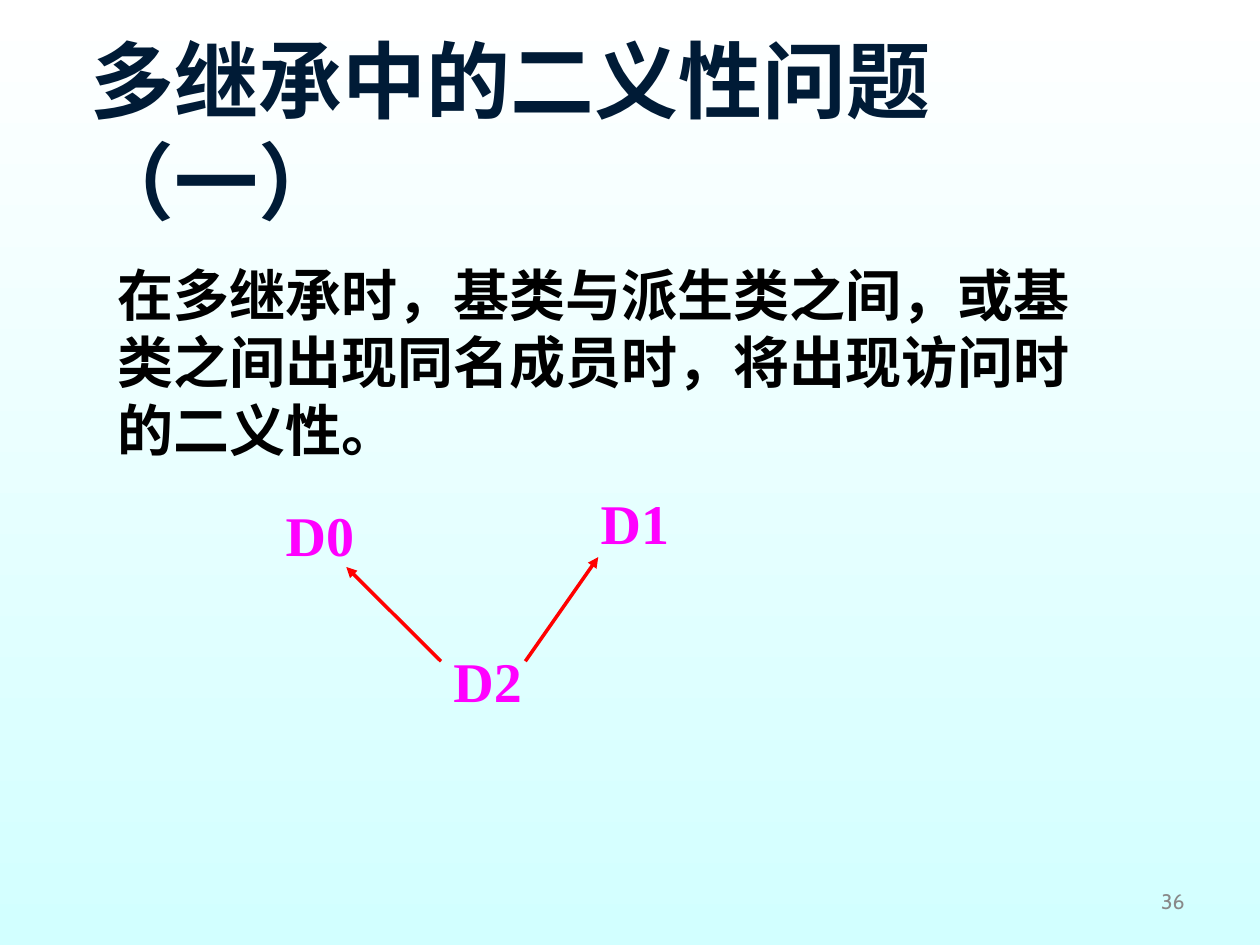
import pptx
import pptx.dml.color
import pptx.enum.shapes
import pptx.enum.text
import pptx.oxml
import pptx.oxml.ns
import pptx.util

Cm = pptx.util.Cm
Pt = pptx.util.Pt
COLORS = {
    "top": "FFFFFF",
    "bottom": "D2FFFF",
    "title": "001B36",
    "body": "000000",
    "node": "FF00FF",
    "arrow": "FF0000",
    "number": "898989",
}


def rgb(name):
    return pptx.dml.color.RGBColor.from_string(COLORS[name])


def write(tf, text, size=32, font="Arial", color="body", bold=True, align="LEFT"):
    p = tf.paragraphs[0]
    p.alignment = getattr(pptx.enum.text.PP_ALIGN, align)
    r = p.add_run()
    r.text = text
    r.font.size = Pt(size)
    r.font.name = font
    r.font.bold = bold
    r.font.color.rgb = rgb(color)


class SlideBuilder:
    """Holds the style and the current slide, and adds its elements."""

    def __init__(self, s):
        self.s = s
        self.line_width = Pt(2)
        self.node_size = (3.61, 1.63)
        self.node_style = {"font": "Times New Roman", "color": "node"}

    def background(self):
        fill = self.s.background.fill
        fill.gradient()
        fill.gradient_angle = 270
        for stop, name in zip(fill.gradient_stops, ("top", "bottom")):
            stop.color.rgb = rgb(name)

    def text(self, box, text, wrap=True, anchor="TOP", **style):
        tf = self.s.shapes.add_textbox(*map(Cm, box)).text_frame
        tf.word_wrap = wrap
        tf.vertical_anchor = getattr(pptx.enum.text.MSO_ANCHOR, anchor)
        write(tf, text, **style)

    def node(self, left, top, name):
        self.text((left, top, *self.node_size), name, **self.node_style)

    def arrow(self, start, end):
        kind = pptx.enum.shapes.MSO_CONNECTOR.STRAIGHT
        c = self.s.shapes.add_connector(kind, *map(Cm, start + end))
        c.line.width = self.line_width
        c.line.color.rgb = rgb("arrow")
        ns = pptx.oxml.ns.nsdecls("a")
        head = pptx.oxml.parse_xml(f'<a:tailEnd {ns} type="triangle"/>')
        c.line._get_or_add_ln().append(head)
        c._element.spPr.append(pptx.oxml.parse_xml(f"<a:effectLst {ns}/>"))


def main():
    prs = pptx.Presentation()
    prs.slide_width, prs.slide_height = Cm(25.4), Cm(19.05)
    b = SlideBuilder(prs.slides.add_slide(prs.slide_layouts[6]))
    b.background()
    b.text((18.21, 17.65, 5.92, 1.02), "36", anchor="MIDDLE", size=12,
           font="Cabin", color="number", bold=False, align="RIGHT")
    b.text((1.57, 0.46, 22.5, 2.29), "多继承中的二义性问题（一）",
           wrap=False, size=48, color="title")
    b.text((2.11, 5.13, 19.89, 4.32),
           "在多继承时，基类与派生类之间，或基类之间出现同名成员时，将出现访问时的二义性。")
    for left, top, name in ((5.51, 9.96, "D0"), (11.86, 9.73, "D1"), (8.89, 12.9, "D2")):
        b.node(left, top, name)
    b.arrow((10.59, 13.33), (12.06, 11.23))
    b.arrow((8.89, 13.33), (6.98, 11.43))
    prs.save("out.pptx")


if __name__ == "__main__":
    main()
